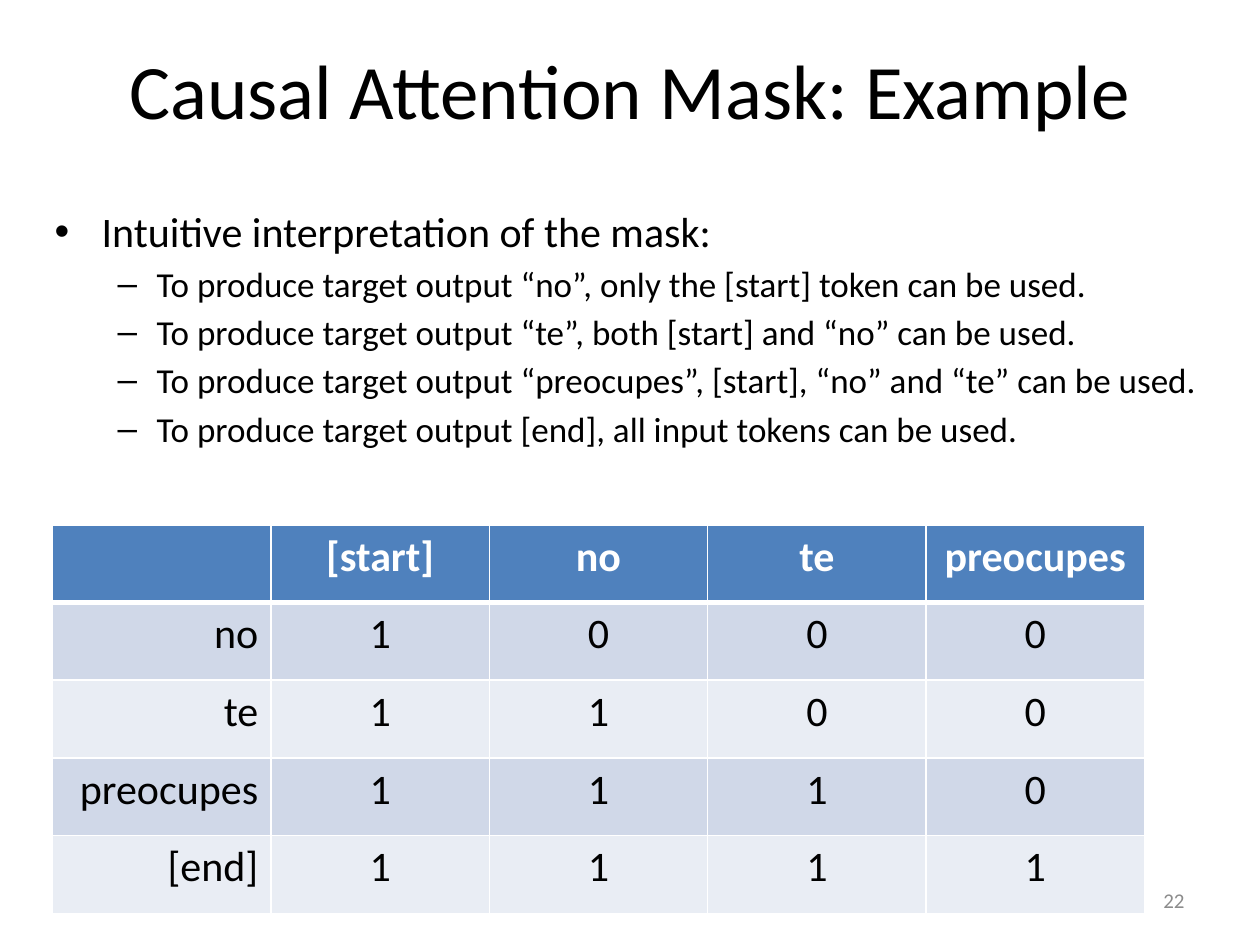
"""Build the slide on the causal attention mask example."""
from lxml import etree
from pptx import Presentation
from pptx.dml.color import RGBColor
from pptx.enum.text import MSO_ANCHOR, PP_ALIGN
from pptx.oxml.ns import qn
from pptx.util import Cm, Pt

LEFT, CENTER, RIGHT = PP_ALIGN.LEFT, PP_ALIGN.CENTER, PP_ALIGN.RIGHT
TOP, MIDDLE = MSO_ANCHOR.TOP, MSO_ANCHOR.MIDDLE
FONT = "Calibri"
COLORS = {
    "text": "000000", "number": "8C8C8C", "header": "4F81BD",
    "odd": "D0D8E8", "even": "E9EDF4", "white": "FFFFFF",
}

TITLE = "Causal Attention Mask: Example"
PAGE_NUMBER = "22"
BULLETS = [
    (0, "Intuitive interpretation of the mask:"),
    (1, "To produce target output “no”, only the [start] token can be used."),
    (1, "To produce target output “te”, both [start] and “no” can be used."),
    (1, "To produce target output “preocupes”, [start], “no” and “te” can be used."),
    (1, "To produce target output [end], all input tokens can be used."),
]
LEVELS = [
    {"bullet": "•", "size": 24, "margin": 0.95, "hanging": 0.95},
    {"bullet": "–", "size": 20, "margin": 2.06, "hanging": 0.79},
]
INPUTS = ["[start]", "no", "te", "preocupes"]
OUTPUTS = ["no", "te", "preocupes", "[end]"]

TITLE_BOX = (1.27, 0.42, 22.86, 2.75)
BODY_BOX = (0.85, 4.02, 23.7, 13.55)
NUMBER_BOX = (18.2, 17.65, 5.93, 1.01)
TABLE_BOX = (1.06, 10.58, 22.01, 7.83)


def style_font(font, size, color, bold=False):
    font.name, font.size, font.bold = FONT, Pt(size), bold
    font.color.rgb = RGBColor.from_string(COLORS[color])


def add_text_box(slide, box, anchor=TOP):
    text_frame = slide.shapes.add_textbox(*map(Cm, box)).text_frame
    text_frame.word_wrap = True
    text_frame.vertical_anchor = anchor
    return text_frame


def add_line(slide, box, text, size, color, alignment):
    text_frame = add_text_box(slide, box, MIDDLE)
    text_frame.text = text
    paragraph = text_frame.paragraphs[0]
    paragraph.alignment = alignment
    style_font(paragraph.runs[0].font, size, color)


def add_bullets(slide):
    text_frame = add_text_box(slide, BODY_BOX)
    for index, (level, text) in enumerate(BULLETS):
        paragraph = text_frame.add_paragraph() if index else text_frame.paragraphs[0]
        paragraph.text = text
        paragraph.level = level
        paragraph.alignment = LEFT
        paragraph.space_before = Pt(3.6 if index else 0)
        look = LEVELS[level]
        properties = paragraph._p.get_or_add_pPr()
        properties.set("marL", str(Cm(look["margin"])))
        properties.set("indent", str(-Cm(look["hanging"])))
        etree.SubElement(properties, qn("a:buFont"), typeface="Arial")
        etree.SubElement(properties, qn("a:buChar"), char=look["bullet"])
        style_font(paragraph.runs[0].font, look["size"], "text")


def set_borders(cell, bottom):
    properties = cell._tc.get_or_add_tcPr()
    widths = {"a:lnL": 1, "a:lnR": 1, "a:lnT": 1, "a:lnB": bottom}
    for position, (tag, width) in enumerate(widths.items()):
        line = etree.Element(qn(tag), w=str(Pt(width)))
        fill = etree.SubElement(line, qn("a:solidFill"))
        etree.SubElement(fill, qn("a:srgbClr"), val=COLORS["white"])
        properties.insert(position, line)


def add_mask_table(slide):
    rows = [["", *INPUTS]]
    for row, output in enumerate(OUTPUTS):
        rows.append([output, *("1" if column <= row else "0" for column in range(len(INPUTS)))])
    table = slide.shapes.add_table(len(rows), len(rows[0]), *map(Cm, TABLE_BOX)).table
    for row, values in enumerate(rows):
        header = row == 0
        fill = "header" if header else ("odd" if row % 2 else "even")
        for column, value in enumerate(values):
            cell = table.cell(row, column)
            cell.text = value
            cell.fill.solid()
            cell.fill.fore_color.rgb = RGBColor.from_string(COLORS[fill])
            set_borders(cell, 3 if header else 1)
            paragraph = cell.text_frame.paragraphs[0]
            paragraph.alignment = CENTER if header or column else RIGHT
            style_font(paragraph.font, 24, "white" if header else "text", header)
            for run in paragraph.runs:
                style_font(run.font, 24, "white" if header else "text", header)


def main():
    presentation = Presentation()
    presentation.slide_width, presentation.slide_height = Cm(25.4), Cm(19.05)
    slide = presentation.slides.add_slide(presentation.slide_layouts[6])
    add_line(slide, TITLE_BOX, TITLE, 44, "text", CENTER)
    add_bullets(slide)
    add_line(slide, NUMBER_BOX, PAGE_NUMBER, 12, "number", RIGHT)
    add_mask_table(slide)
    presentation.save("out.pptx")


if __name__ == "__main__":
    main()
